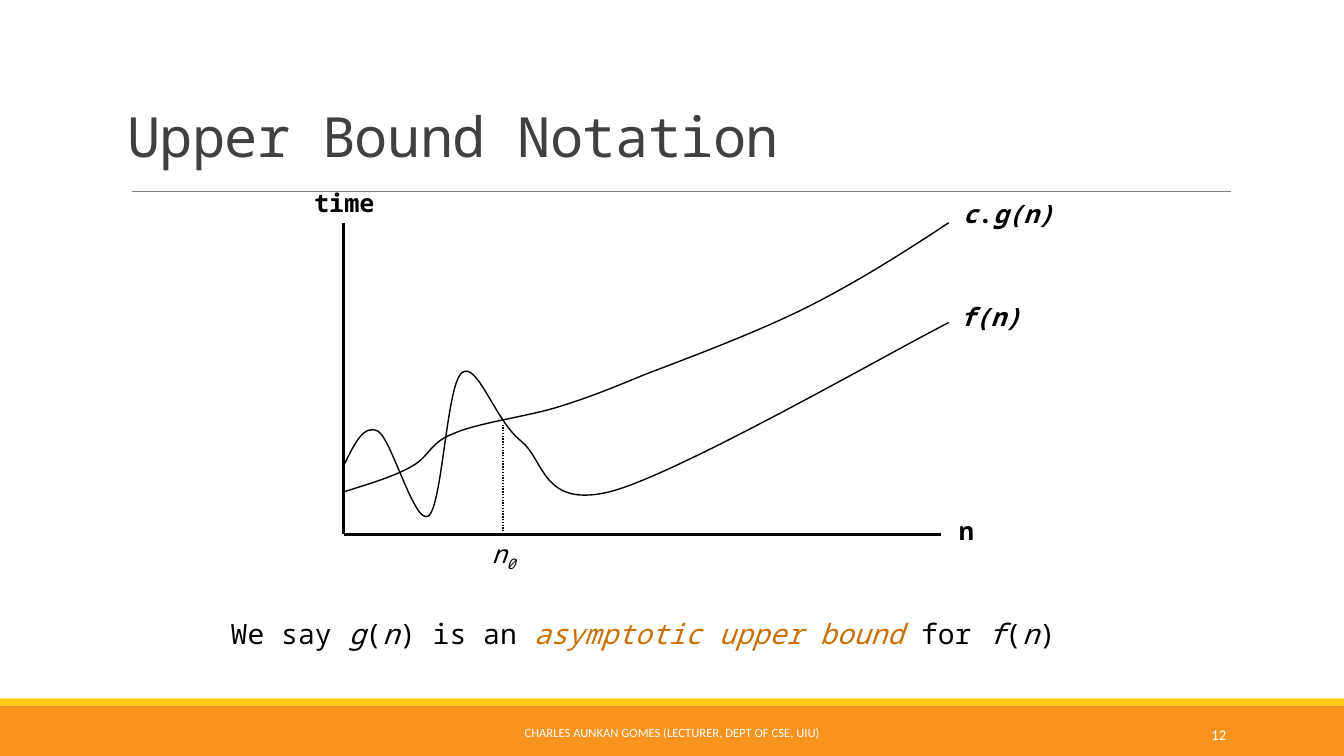
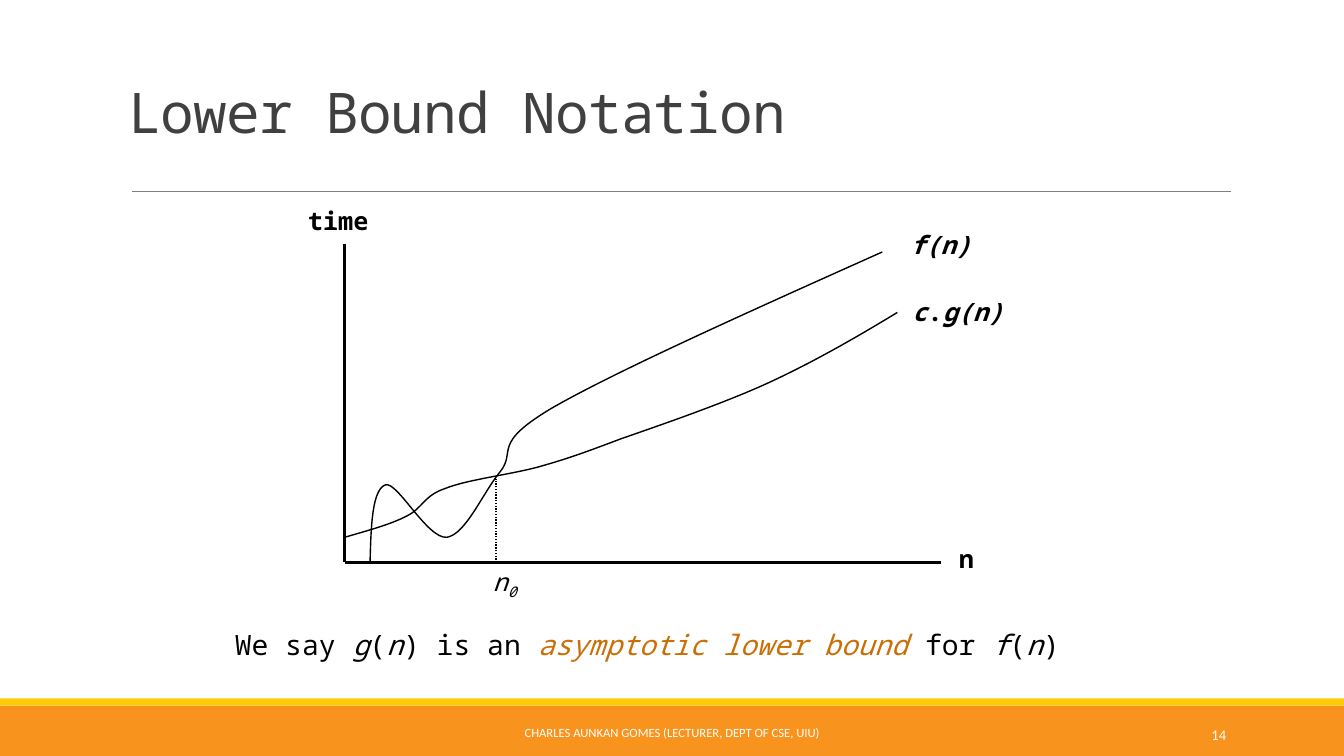
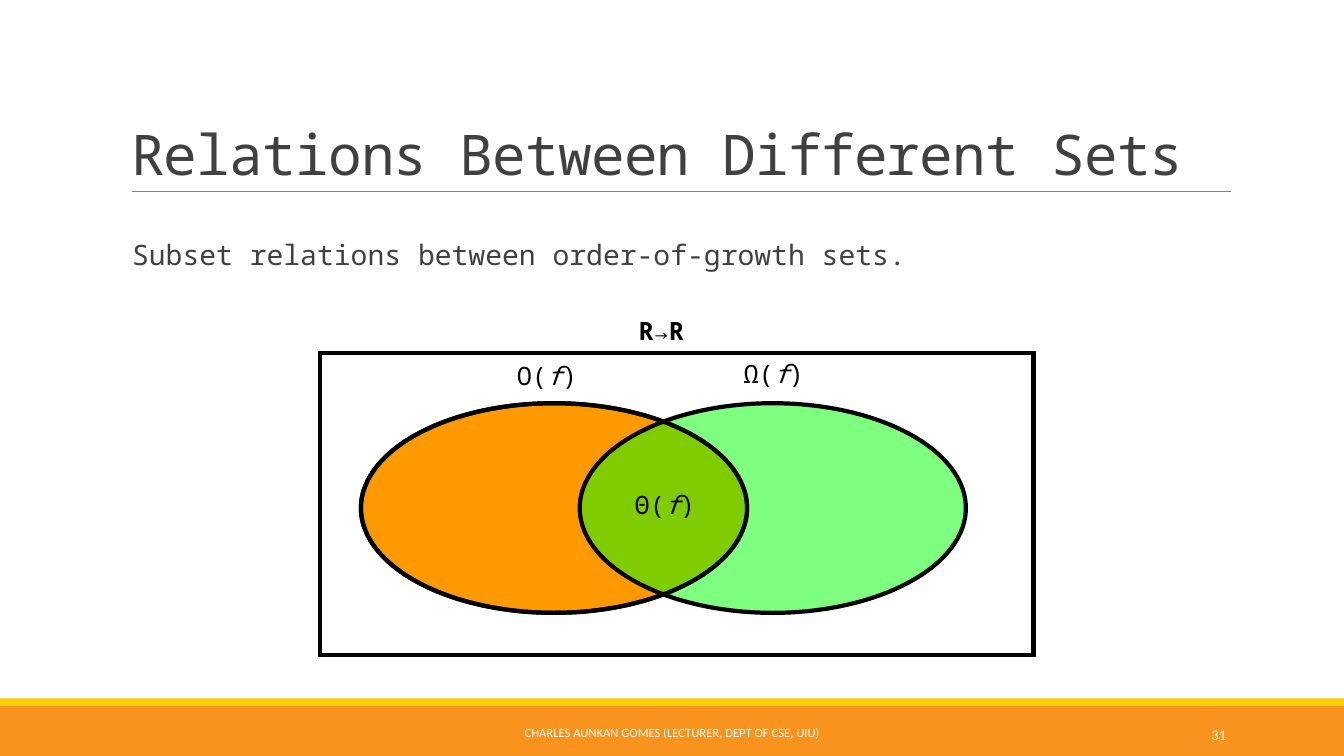
from dataclasses import dataclass

from lxml import etree
from pptx import Presentation
from pptx.dml.color import RGBColor
from pptx.enum.dml import MSO_LINE
from pptx.enum.shapes import MSO_CONNECTOR, MSO_SHAPE
from pptx.enum.text import MSO_ANCHOR, MSO_AUTO_SIZE, PP_ALIGN
from pptx.oxml.ns import qn
from pptx.util import Inches, Pt

LEFT, MID, RIGHT = PP_ALIGN.LEFT, PP_ALIGN.CENTER, PP_ALIGN.RIGHT
TOP, CENTER, BOTTOM = MSO_ANCHOR.TOP, MSO_ANCHOR.MIDDLE, MSO_ANCHOR.BOTTOM
RECT, OVAL = MSO_SHAPE.RECTANGLE, MSO_SHAPE.OVAL
STRAIGHT, DOTTED = MSO_CONNECTOR.STRAIGHT, MSO_LINE.ROUND_DOT
FIXED = MSO_AUTO_SIZE.NONE


@dataclass(frozen=True)
class Theme:
    """Colours, fonts and type sizes of the deck."""
    mono: str = "Noto Sans Mono"
    sans: str = "Calibri"
    ink: str = "000000"
    text: str = "404040"
    paper: str = "FFFFFF"
    rule: str = "808080"
    band: str = "F8931D"
    strip: str = "FFCA08"
    accent: str = "CA6F06"
    orange: str = "FF9900"
    green: str = "00FF00"
    title: float = 40
    body: float = 20
    label: float = 18
    foot: float = 9
    page: float = 10.5


@dataclass(frozen=True)
class Box:
    """A region measured in one-inch columns and rows."""
    x: float
    y: float
    w: float
    h: float

    def cell(self, x, y, w, h):
        """Return a box offset from this box's corner."""
        return Box(self.x + x, self.y + y, w, h)

    def point(self, px, py):
        """Return the place at these percentages of the box."""
        return (Inches(self.x + self.w * px / 100),
                Inches(self.y + self.h * py / 100))

    def emu(self):
        """Return left, top, width and height as lengths."""
        return [Inches(v) for v in (self.x, self.y, self.w, self.h)]


THEME = Theme()
PAGE = Box(0, 0, 13.33, 7.5)
FOOTER = "CHARLES AUNKAN GOMES (LECTURER, DEPT OF CSE, UIU)"

G_CURVE = [
    (0, 100), (4.2, 97), (8.2, 94.4), (11.2, 90.6), (14.2, 86.9),
    (14.2, 81.6), (18.2, 78.3), (22, 74.5), (29.5, 72.3), (34.8, 68.9),
    (40.2, 65.2), (43.2, 62.5), (50, 56.2), (57, 50.2), (68.2, 40.8),
    (76.5, 31.5), (84.8, 22.1), (92.5, 11.2), (100, 0)]
F_UPPER = [
    (0, 70.6), (1.7, 60.2), (3.3, 49.8), (5.7, 53.7), (8, 58.2),
    (11.7, 100), (14, 95.5), (16.3, 90.5), (17, 30.8), (19.5, 24.9),
    (22, 18.4), (25, 48.3), (29.2, 58.2), (33.3, 67.7), (32.7, 92.5),
    (44.5, 83.1), (56.3, 73.1), (90.8, 13.9), (100, 0)]
F_LOWER = [
    (0, 100), (0.2, 88.3), (0.4, 76.6), (3, 75), (5.3, 73.7),
    (11.2, 92.5), (15, 91.9), (18.7, 90.9), (21.9, 77.9), (25.4, 70.8),
    (28.7, 64), (23.4, 62), (35.8, 50), (48.2, 38.3), (74, 19.2), (100, 0)]

F_NAME = [("f(n)", "bi")]
G_NAME = [("c", "bi"), (".", "b"), ("g(n)", "bi")]


def rgb(code):
    """Turn a hex code into a colour."""
    return RGBColor.from_string(code)


def style(para, size, color, face=THEME.mono, align=LEFT, lead=None):
    """Format a whole paragraph."""
    para.alignment = align
    para.space_before = Pt(0)
    if lead:
        para.line_spacing = lead
    font = para.font
    font.name, font.size = face, Pt(size)
    font.color.rgb = rgb(color)
    return font


def write(para, runs):
    """Add runs marked b bold, i italic, a accent, s subscript."""
    for text, marks in runs:
        run = para.add_run()
        run.text = text
        if "b" in marks:
            run.font.bold = True
        if "i" in marks:
            run.font.italic = True
        if "a" in marks:
            run.font.color.rgb = rgb(THEME.accent)
        if "s" in marks:
            run._r.get_or_add_rPr().set("baseline", "-25000")


def label(slide, box, runs, size=THEME.label, color=THEME.ink,
          face=THEME.mono, align=MID, anchor=TOP, wrap=False, lead=None):
    """Place one line of text in a box."""
    frame = slide.shapes.add_textbox(*box.emu()).text_frame
    frame.word_wrap, frame.vertical_anchor = wrap, anchor
    para = frame.paragraphs[0]
    style(para, size, color, face, align, lead)
    write(para, runs)


def shape(slide, kind, box, fill=None, width=0, alpha=None):
    """Draw a preset shape with an optional fill and outline."""
    item = slide.shapes.add_shape(kind, *box.emu())
    item.shadow.inherit = False
    if fill:
        item.fill.solid()
        item.fill.fore_color.rgb = rgb(fill)
    else:
        item.fill.background()
    if alpha:
        tint = item.fill._xPr.find(".//" + qn("a:srgbClr"))
        etree.SubElement(tint, qn("a:alpha")).set("val", str(alpha * 1000))
    if width:
        item.line.color.rgb = rgb(THEME.ink)
        item.line.width = Pt(width)
        edge = item._element.spPr.find(qn("a:ln"))
        etree.SubElement(edge, qn("a:miter")).set("lim", "800000")
    else:
        item.line.fill.background()
    return item


def line(slide, start, end, width, color=THEME.ink, dash=None):
    """Draw a straight line between two points."""
    item = slide.shapes.add_connector(STRAIGHT, *start, *end)
    item.line.color.rgb = rgb(color)
    item.line.width = Pt(width)
    if dash:
        item.line.dash_style = dash
    etree.SubElement(item._element.spPr, qn("a:effectLst"))
    return item


def curve(slide, box, knots):
    """Draw an open chain of cubic curves in a box."""
    pen = slide.shapes.build_freeform(*box.point(*knots[0]))
    pen.add_line_segments([box.point(*p) for p in knots[1:]], close=False)
    item = pen.convert_to_shape()
    item.shadow.inherit = False
    item.fill.background()
    item.line.color.rgb = rgb(THEME.ink)
    item.line.width = Pt(1)
    legs = list(item._element.iter(qn("a:lnTo")))
    for i in range(0, len(legs), 3):
        bend = etree.Element(qn("a:cubicBezTo"))
        legs[i].addprevious(bend)
        for leg in legs[i:i + 3]:
            bend.append(leg[0])
            leg.getparent().remove(leg)


def backdrop(deck, slide):
    """Put the bands and the title rule on the slide master."""
    rule = PAGE.cell(1.31, 1.9, 10.9, 0)
    parts = [
        shape(slide, RECT, PAGE.cell(0, 7, PAGE.w, 0.5), THEME.band),
        shape(slide, RECT, PAGE.cell(0, 6.93, PAGE.w, 0.07), THEME.strip),
        line(slide, rule.point(0, 0), rule.point(100, 0), 0.5, THEME.rule)]
    tree = deck.slide_master.shapes._spTree
    for mark, part in enumerate(parts, 101):
        node = part._element
        node.find(".//" + qn("p:cNvPr")).set("id", str(mark))
        tree.append(node)


def base(deck, layout, title, box, size=THEME.title):
    """Start a slide with its title."""
    slide = deck.slides.add_slide(deck.slide_layouts[layout])
    head = slide.shapes.title
    head.left, head.top, head.width, head.height = box.emu()
    frame = head.text_frame
    frame.auto_size, frame.vertical_anchor = FIXED, BOTTOM
    para = frame.paragraphs[0]
    font = style(para, size, THEME.text, lead=0.85)
    font._rPr.set("spc", "-50")
    write(para, [(title, "")])
    return slide


def foot(slide, page):
    """Add the author line and the page number."""
    label(slide, PAGE.cell(4.03, 7.07, 5.27, 0.4), [(FOOTER, "")], THEME.foot,
          THEME.paper, THEME.sans, MID, CENTER, True)
    label(slide, PAGE.cell(10.83, 7.07, 1.43, 0.4), [(page, "")], THEME.page,
          THEME.paper, THEME.sans, RIGHT, CENTER, True, Pt(15.3))


def graph(slide, box, time, tick, curves, names):
    """Draw axes, the n0 mark, curves and their names."""
    line(slide, box.point(0, 0), box.point(0, 100), 2)
    line(slide, box.point(0, 100), box.point(100, 100), 2)
    label(slide, box.cell(*time, 0.83, 0.4), [("time", "b")])
    label(slide, box.cell(box.w - 0.16, box.h - 0.24, 0.83, 0.4), [("n", "b")])
    mark = box.cell(tick[0], box.h - tick[1], 0, tick[1])
    line(slide, mark.point(0, 100), mark.point(0, 0), 1, dash=DOTTED)
    label(slide, box.cell(1.17, box.h - 0.01, 0.83, 0.4),
          [("n", "i"), ("0", "is")])
    for place, knots in curves:
        curve(slide, box.cell(*place), knots)
    for place, runs in names:
        label(slide, box.cell(*place, 0.4), runs)


def claim(slide, box, kind):
    """State which bound g(n) gives for f(n)."""
    runs = [("We say ", ""), ("g", "i"), ("(", ""), ("n", "i"),
            (") is an ", ""), (f"asymptotic {kind} bound", "ia"),
            (" for ", ""), ("f", "i"), ("(", ""), ("n", "i"), (")", "")]
    label(slide, box, runs, THEME.body, align=LEFT)


def intro(slide, box, text):
    """Fill the body placeholder with one plain line."""
    body = slide.placeholders[1]
    body.left, body.top, body.width, body.height = box.emu()
    frame = body.text_frame
    frame.auto_size = FIXED
    frame.margin_left = frame.margin_right = 0
    para = frame.paragraphs[0]
    props = para._p.get_or_add_pPr()
    props.set("marL", str(Inches(0.1)))
    props.set("indent", "0")
    etree.SubElement(props, qn("a:buNone"))
    style(para, THEME.body, THEME.text, lead=0.9)
    write(para, [(text, "")])


def venn(slide, box):
    """Draw two overlapping sets inside a universe."""
    left, right = (box.cell(x, 0.5, 3.83, 2.08) for x in (0.41, 2.58))
    shape(slide, RECT, box, THEME.paper, 3)
    shape(slide, OVAL, left, THEME.orange, 3)
    shape(slide, OVAL, right, THEME.green, 3, 50)
    label(slide, box.cell(3.01, -0.42, 0.76, 0.4),
          [("R", "b"), ("→", ""), ("R", "b")], anchor=CENTER)
    shape(slide, OVAL, left, None, 3)
    for sign, x, y in (("Ω", 4.08, 0), ("O", 1.83, 0.02), ("Θ", 3, 1.3)):
        label(slide, box.cell(x, y, 0.85, 0.4),
              [(sign + "(", ""), ("f", "i"), (")", "")], anchor=CENTER)


def main():
    """Build and save the deck."""
    deck = Presentation()
    deck.slide_width, deck.slide_height = Inches(PAGE.w), Inches(PAGE.h)

    upper = base(deck, 5, "Upper Bound Notation",
                 PAGE.cell(1.16, 1.08, 11, 0.65), 39.6)
    backdrop(deck, upper)
    graph(upper, PAGE.cell(3.41, 2.21, 5.92, 3.09), (-0.41, -0.4),
          (1.58, 1.09),
          [((0, 0.99, 6, 2.01), F_UPPER), ((0, 0, 6, 2.67), G_CURVE)],
          [((6, 0.73, 0.83), F_NAME), ((5.76, -0.29, 1.66), G_NAME)])
    claim(upper, PAGE.cell(2.19, 6.07, 8.45, 0.44), "upper")
    foot(upper, "12")

    lower = base(deck, 5, "Lower Bound Notation",
                 PAGE.cell(1.17, 0.53, 11, 0.96))
    graph(lower, PAGE.cell(3.42, 2.42, 5.91, 3.16), (-0.48, -0.43),
          (1.5, 0.83),
          [((0, 0.68, 5.48, 2.23), G_CURVE),
           ((0.25, 0.08, 5.08, 3.08), F_LOWER)],
          [((5.33, 0.47, 1.5), G_NAME), ((5.37, -0.19, 1.08), F_NAME)])
    claim(lower, PAGE.cell(2.23, 6.18, 8.45, 0.44), "lower")
    foot(lower, "14")

    sets = base(deck, 1, "Relations Between Different Sets",
                PAGE.cell(1.2, 0.75, 11, 1.15))
    intro(sets, PAGE.cell(1.21, 2.34, 11, 4.4),
          "Subset relations between order-of-growth sets.")
    venn(sets, PAGE.cell(3.17, 3.5, 7.08, 3))
    foot(sets, "31")

    deck.save("out.pptx")


if __name__ == "__main__":
    main()
